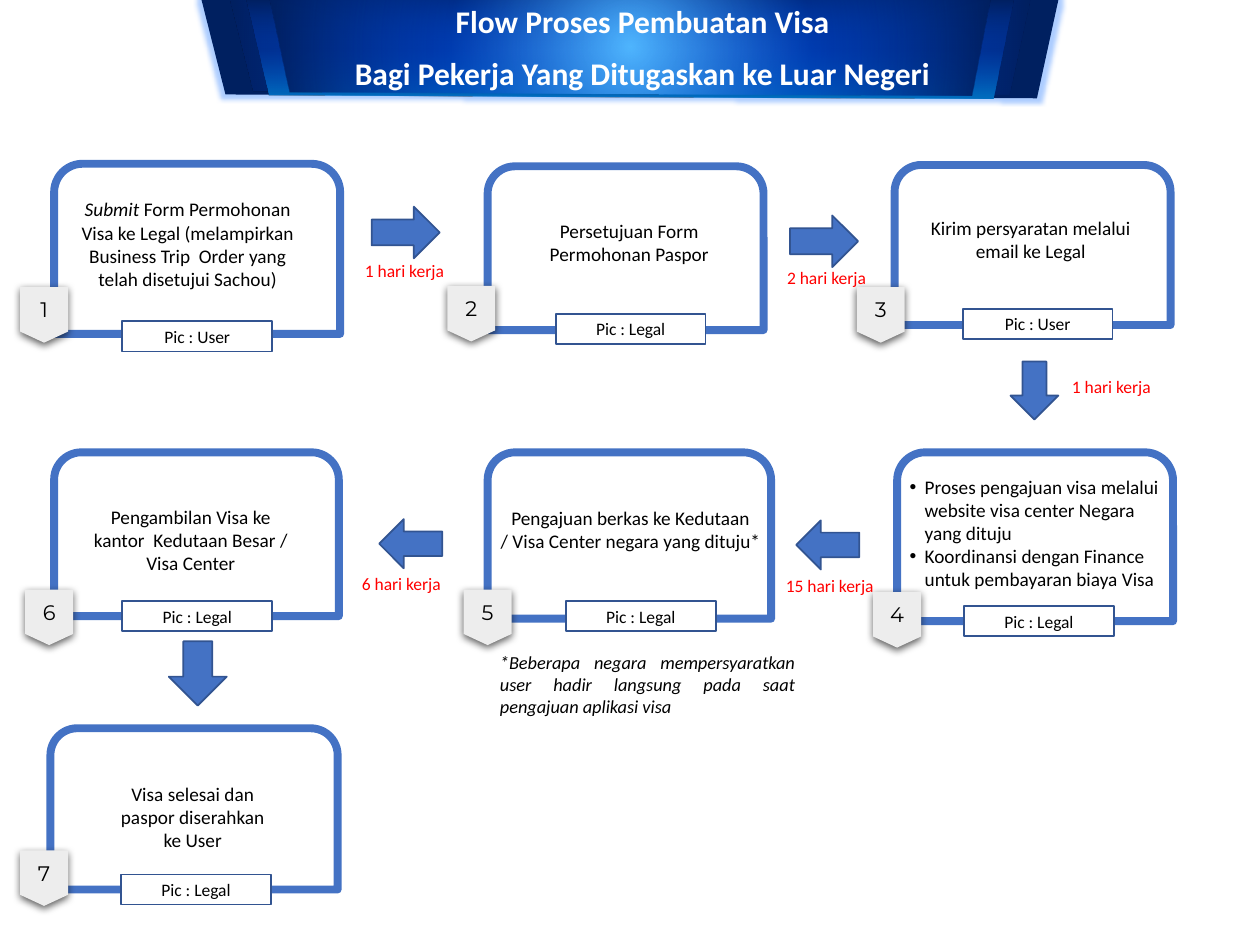
from dataclasses import dataclass

from lxml.etree import SubElement
from pptx import Presentation
from pptx.dml.color import RGBColor
from pptx.enum.shapes import MSO_SHAPE
from pptx.enum.text import MSO_ANCHOR, PP_ALIGN
from pptx.oxml.ns import qn
from pptx.util import Inches, Pt

CELL = 0.1  # inches: the slide is a grid of 100 columns by 75 rows
COLUMNS, ROWS = 100, 75


@dataclass(frozen=True)
class Theme:
    font: str = "Calibri"
    badge_font: str = "Montserrat"
    ink: str = "000000"
    paper: str = "FFFFFF"
    blue: str = "4472C4"
    edge: str = "325491"
    badge: str = "EDEDED"
    duration: str = "FF0000"
    navy: str = "002060"
    royal: str = "0040BF"
    sky: str = "50B6FF"
    strip: str = "0070C0"
    glow: str = "5B9BFF"
    title_size: float = 18
    badge_size: float = 12
    body_size: float = 11
    note_size: float = 10.5
    label_size: float = 10


def grid(*cells):
    return [Inches(cell * CELL) for cell in cells]


def add_color(parent, color, alpha=None):
    node = SubElement(parent, qn("a:srgbClr"), val=color)
    if alpha is not None:
        SubElement(node, qn("a:alpha"), val=str(alpha * 1000))


class FlowSlide:
    def __init__(self, slide, theme):
        self.slide = slide
        self.shapes = slide.shapes
        self.theme = theme

    def fill_text(self, frame, paragraphs, size, color=None, font=None, bold=None,
                  align=PP_ALIGN.CENTER, anchor=MSO_ANCHOR.TOP, bullets=False):
        """Each paragraph is a list of (text, italic) runs."""
        frame.word_wrap = True
        frame.vertical_anchor = anchor
        for index, runs in enumerate(paragraphs):
            paragraph = frame.paragraphs[0] if index == 0 else frame.add_paragraph()
            paragraph.alignment = align
            if bullets:
                properties = paragraph._p.get_or_add_pPr()
                properties.set("marL", str(Inches(0.12)))
                properties.set("indent", str(-Inches(0.12)))
                SubElement(properties, qn("a:buFont"), typeface="Arial")
                SubElement(properties, qn("a:buChar"), char="•")
            for text, italic in runs:
                run = paragraph.add_run()
                run.text = text
                run.font.name = font or self.theme.font
                run.font.size = Pt(size)
                run.font.bold = bold
                run.font.italic = italic
                run.font.color.rgb = RGBColor.from_string(color or self.theme.ink)

    def title(self, box, lines):
        title = self.shapes.title
        title.left, title.top, title.width, title.height = grid(*box)
        self.fill_text(title.text_frame, [[(line, False)] for line in lines],
                       self.theme.title_size, self.theme.paper, bold=True)
        for index, paragraph in enumerate(title.text_frame.paragraphs):
            paragraph.line_spacing = 0.9
            paragraph.space_before = Pt(10 if index else 0)
        self.shapes._spTree.append(title._element)  # bring above the banner

    def text(self, box, paragraphs, size=None, margin=True, **style):
        frame = self.shapes.add_textbox(*grid(*box)).text_frame
        if not margin:
            frame.margin_left = frame.margin_right = 0
        self.fill_text(frame, paragraphs, size or self.theme.body_size, **style)

    def shape(self, kind, box, fill, line=None, weight=1):
        shape = self.shapes.add_shape(kind, *grid(*box))
        self.paint(shape, fill, line, weight)
        return shape

    def paint(self, shape, fill, line=None, weight=1):
        shape.shadow.inherit = False
        shape.fill.solid()
        shape.fill.fore_color.rgb = RGBColor.from_string(fill)
        if line:
            shape.line.color.rgb = RGBColor.from_string(line)
            shape.line.width = Pt(weight)
        else:
            shape.line.fill.background()

    def effect(self, shape, tag, color, alpha, **settings):
        effects = shape._element.spPr.find(qn("a:effectLst"))
        add_color(SubElement(effects, qn(tag), **settings), color, alpha)

    def banner_layer(self, points, center=None, radial=True):
        corners = [tuple(grid(*point)) for point in points]
        builder = self.shapes.build_freeform(*corners[0])
        builder.add_line_segments(corners[1:], close=True)
        layer = builder.convert_to_shape()
        self.paint(layer, self.theme.navy)
        if center is None:
            self.effect(layer, "a:glow", self.theme.glow, 50, rad=str(Pt(5)))
            return
        layer.fill.gradient()
        gradient = layer._element.spPr.find(qn("a:gradFill"))
        gradient.clear()
        stops = SubElement(gradient, qn("a:gsLst"))
        for place, color, alpha in ((0, center, None), (50, self.theme.royal, 43),
                                    (100, self.theme.navy, None)):
            add_color(SubElement(stops, qn("a:gs"), pos=str(place * 1000)), color, alpha)
        if radial:
            shade = SubElement(gradient, qn("a:path"), {"path": "circle"})
            SubElement(shade, qn("a:fillToRect"), {side: "50000" for side in "ltrb"})
        else:
            SubElement(gradient, qn("a:lin"), ang=str(270 * 60000), scaled="0")

    def badge(self, left, top, number):
        badge = self.shape(MSO_SHAPE.FLOWCHART_OFFPAGE_CONNECTOR,
                           (left, top, 3.8, 4.4), self.theme.badge)
        self.effect(badge, "a:outerShdw", self.theme.ink, 63, blurRad=str(Pt(4.5)),
                    dist=str(Pt(1.5)), dir=str(90 * 60000), algn="t", rotWithShape="0")
        self.fill_text(badge.text_frame, [[(str(number), False)]], self.theme.badge_size,
                       font=self.theme.badge_font, anchor=MSO_ANCHOR.MIDDLE)

    def step(self, number, card, body, paragraphs, badge, person, owner, **style):
        self.shape(MSO_SHAPE.ROUND_2_SAME_RECTANGLE, card, self.theme.paper,
                   self.theme.blue, 4.5)
        self.text(body, paragraphs, **style)
        self.badge(*badge, number)
        label = self.shape(MSO_SHAPE.RECTANGLE, (*owner, 11.9, 2.4),
                           self.theme.paper, self.theme.edge)
        self.fill_text(label.text_frame, [[(f"Pic : {person}", False)]],
                       self.theme.label_size, anchor=MSO_ANCHOR.MIDDLE)

    def arrow(self, kind, box, duration=None, label_box=None):
        self.shape(kind, box, self.theme.blue, self.theme.edge)
        if duration:
            self.text(label_box, [[(f"{duration} hari kerja", False)]],
                      self.theme.label_size, margin=False, color=self.theme.duration,
                      anchor=MSO_ANCHOR.MIDDLE)


def main():
    deck = Presentation()
    deck.slide_width, deck.slide_height = grid(COLUMNS, ROWS)
    theme = Theme()
    flow = FlowSlide(deck.slides.add_slide(deck.slide_layouts[5]), theme)

    # Banner and title
    flow.banner_layer([(16, 0), (84, 0), (82.3, 7.8), (17.9, 7.5)])
    flow.banner_layer([(18.2, -0.3), (81.8, -0.3), (80.1, 7.5), (20.1, 7.2)], theme.sky)
    flow.banner_layer([(19.6, 0), (80.4, 0), (78.8, 7.8), (21.4, 7.5)],
                      theme.strip, radial=False)
    flow.banner_layer([(21.4, -0.2), (78.6, -0.2), (77.1, 7.6), (23, 7.3)], theme.sky)
    flow.title((24.5, 0, 53, 5.4), ["Flow Proses Pembuatan Visa",
                                    "Bagi Pekerja Yang Ditugaskan ke Luar Negeri"])

    # Steps: card, body box, paragraphs, badge corner, person, owner corner
    steps = [
        ((4.3, 13, 22.7, 13.5), (4.9, 15.2, 20, 10.3),
         [[("Submit", True), (" Form Permohonan Visa ke Legal (melampirkan Business "
                              "Trip  Order yang telah disetujui Sachou)", False)]],
         (1.6, 22.8), "User", (9.7, 25.5)),
        ((38.7, 13.2, 21.9, 13), (40.3, 16.9, 19.3, 4.7),
         [[("Persetujuan Form Permohonan Paspor", False)]],
         (35.5, 22.7), "Legal", (44.1, 24.9)),
        ((71, 13.1, 21.9, 12.7), (71.2, 16.7, 21.2, 4.7),
         [[("Kirim persyaratan melalui email ke Legal", False)]],
         (68, 22.8), "User", (76.4, 24.5)),
        ((71.2, 35.9, 21.9, 13.4), (71.2, 37.2, 22.1, 12.1),
         [[("Proses pengajuan visa melalui website visa center Negara yang dituju", False)],
          [("Koordinansi dengan Finance untuk pembayaran biaya Visa", False)]],
         (69.3, 47), "Legal", (76.5, 48.1)),
        ((38.7, 35.9, 22.5, 13.2), (38.4, 39.7, 23.3, 6.6),
         [[("Pengajuan berkas ke Kedutaan", False)],
          [("/ Visa Center negara yang dituju*", False)]],
         (36.8, 46.8), "Legal", (44.9, 47.7)),
        ((4.3, 35.9, 22.6, 13), (5.8, 39.6, 18.7, 6.6),
         [[("Pengambilan Visa ke kantor  Kedutaan Besar / Visa Center", False)]],
         (2, 46.8), "Legal", (9.7, 47.7)),
        ((4, 57.8, 22.8, 12.8), (8.3, 61.6, 14, 6.6),
         [[("Visa selesai dan paspor diserahkan ke User", False)]],
         (1.6, 67.5), "Legal", (9.6, 69.4)),
    ]
    bulleted = {"align": PP_ALIGN.LEFT, "bullets": True}
    for number, step in enumerate(steps, start=1):
        flow.step(number, *step, **(bulleted if number == 4 else {}))

    # Arrows between steps, with working days
    right, left, down = MSO_SHAPE.RIGHT_ARROW, MSO_SHAPE.LEFT_ARROW, MSO_SHAPE.DOWN_ARROW
    flow.arrow(right, (29.5, 16.4, 5.4, 4.1), 1, (27.8, 20.3, 8.6, 2.4))
    flow.arrow(right, (62.7, 17.1, 5.4, 4.1), 2, (61.3, 20.8, 8.6, 2.4))
    flow.arrow(down, (80.2, 28.7, 3.8, 4.6), 1, (83.9, 29.5, 8.6, 2.4))
    flow.arrow(left, (63.2, 41.3, 5, 3.9), 15, (60.1, 45.1, 11.5, 2.7))
    flow.arrow(left, (30.1, 41.2, 5, 3.9), 6, (26.1, 45, 11.5, 2.7))
    flow.arrow(down, (13.4, 50.9, 4.6, 5.1))

    # Footnote to step 5
    flow.text((38.7, 51.2, 25.4, 6.3),
              [[("*Beberapa negara mempersyaratkan user hadir langsung pada saat "
                 "pengajuan aplikasi visa", True)]],
              theme.note_size, align=PP_ALIGN.JUSTIFY)

    deck.save("out.pptx")


if __name__ == "__main__":
    main()
